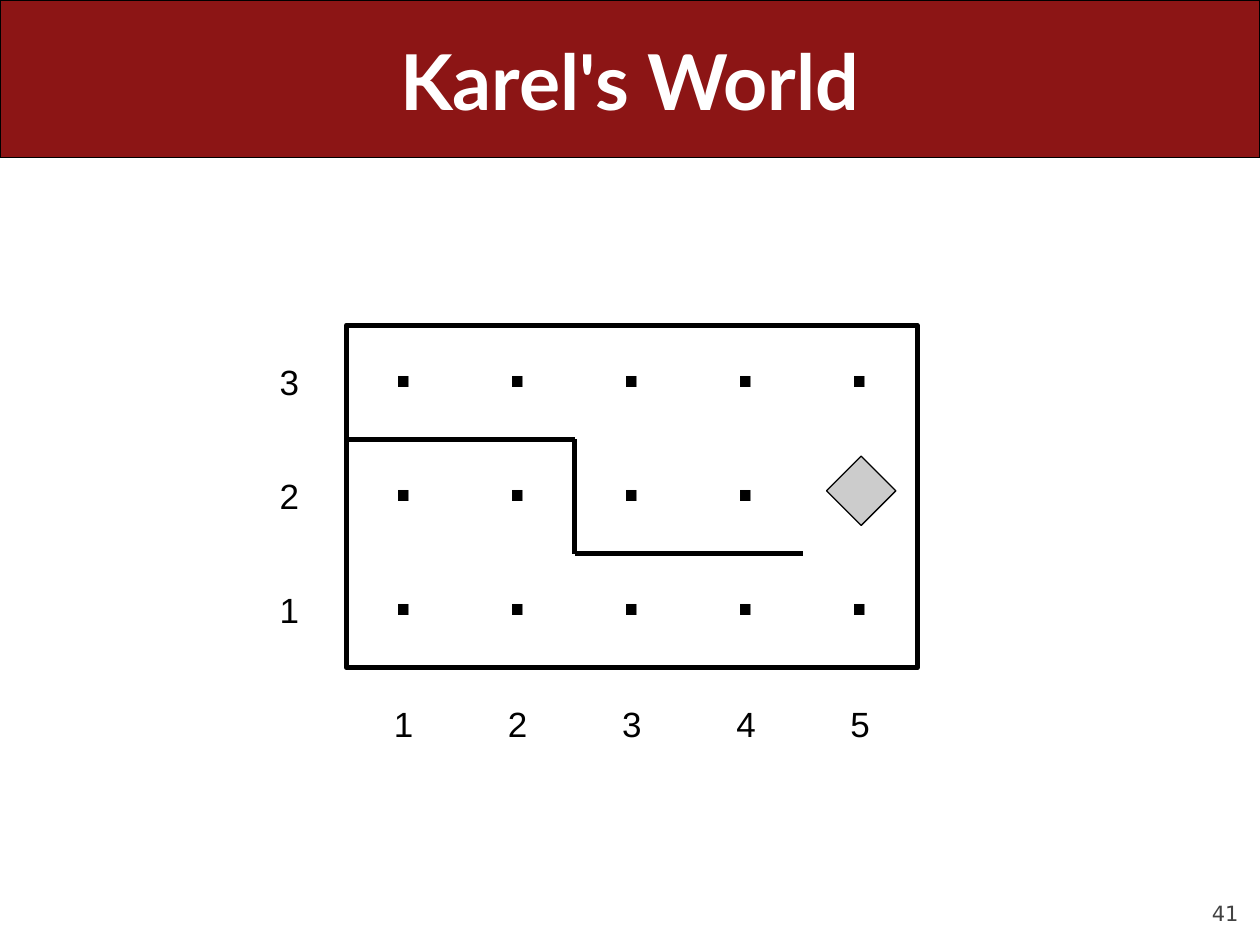
from dataclasses import dataclass
from typing import NamedTuple

import pptx
import pptx.dml.color
import pptx.enum.shapes
import pptx.enum.text
import pptx.oxml.ns
import pptx.util
from lxml import etree

Inches = pptx.util.Inches
Pt = pptx.util.Pt
RGBColor = pptx.dml.color.RGBColor
Align = pptx.enum.text.PP_ALIGN
Anchor = pptx.enum.text.MSO_ANCHOR
ShapeType = pptx.enum.shapes.MSO_SHAPE


@dataclass(frozen=True)
class Theme:
    cardinal: RGBColor = RGBColor.from_string("8C1515")
    white: RGBColor = RGBColor.from_string("FFFFFF")
    black: RGBColor = RGBColor.from_string("000000")
    beacon: RGBColor = RGBColor.from_string("CCCCCC")
    page_number: RGBColor = RGBColor.from_string("424242")
    title_size: float = 44
    label_size: float = 20
    dot_size: float = 73
    page_number_size: float = 12
    thin_line: float = 0.75
    wall_line: float = 2.89
    body_font: str = "Arial"
    title_font: str = "Lato"
    page_number_font: str = "DejaVu Sans"


class Box(NamedTuple):
    left: float
    top: float
    width: float
    height: float

    def lengths(self) -> list:
        return [Inches(value) for value in self]


class Wall(NamedTuple):
    """Ends of a wall, in cells from the top left corner of the world."""
    start: tuple[int, int]
    end: tuple[int, int]


THEME = Theme()
COLUMNS, ROWS = 5, 3
WORLD = Box(2.75, 2.58, 4.53, 2.72)
CELL_WIDTH, CELL_HEIGHT = WORLD.width / COLUMNS, WORLD.height / ROWS
WALLS = [
    Wall((2, 1), (2, 2)),
    Wall((2, 2), (4, 2)),
    Wall((0, 1), (2, 1)),
]


def corner(column: int, row: int) -> tuple[float, float]:
    """Top left corner of a cell, which may lie outside the world."""
    return WORLD.left + column * CELL_WIDTH, WORLD.top + row * CELL_HEIGHT


def cell_box(column: int, row: int) -> Box:
    return Box(*corner(column, row), CELL_WIDTH, CELL_HEIGHT)


def write_text(shape, text: str, *, font: str = THEME.body_font,
               size: float = THEME.label_size, color: RGBColor = THEME.black,
               bold: bool = False, align=Align.CENTER, anchor=Anchor.MIDDLE,
               insets=(0, 0, 0, 0), wrap: bool = True,
               line_spacing: float = 1.0, baseline: int = 0) -> None:
    """Fill a shape with one paragraph; baseline is a percentage raise."""
    frame = shape.text_frame
    frame.word_wrap = wrap
    frame.vertical_anchor = anchor
    (frame.margin_left, frame.margin_top,
     frame.margin_right, frame.margin_bottom) = map(Inches, insets)
    paragraph = frame.paragraphs[0]
    paragraph.alignment = align
    paragraph.line_spacing = line_spacing
    run = paragraph.add_run()
    run.text = text
    run.font.name = font
    run.font.size = Pt(size)
    run.font.bold = bold
    run.font.color.rgb = color
    if baseline:
        run._r.get_or_add_rPr().set("baseline", str(baseline * 1000))


def add_shape(slide, kind, box: Box, fill: RGBColor | None = None,
              line_width: float = 0):
    shape = slide.shapes.add_shape(kind, *box.lengths())
    shape.shadow.inherit = False
    if fill is None:
        shape.fill.background()
    else:
        shape.fill.solid()
        shape.fill.fore_color.rgb = fill
    if line_width:
        shape.line.color.rgb = THEME.black
        shape.line.width = Pt(line_width)
    else:
        shape.line.fill.background()
    return shape


def add_text(slide, box: Box, text: str, **text_format) -> None:
    write_text(slide.shapes.add_textbox(*box.lengths()), text, **text_format)


def add_cell(slide, column: int, row: int) -> None:
    cell = add_shape(slide, ShapeType.RECTANGLE, cell_box(column, row), THEME.white)
    write_text(cell, ".", size=THEME.dot_size, bold=True, baseline=33,
               insets=(0.09, 0.11, 0.09, 0.04), wrap=False, line_spacing=0.93)


def add_label(slide, column: int, row: int, number: int) -> None:
    add_text(slide, cell_box(column, row), str(number),
             insets=(0.09, 0.06, 0.09, 0.04), wrap=False, line_spacing=0.93)


def add_wall(slide, wall: Wall) -> None:
    ends = [Inches(value) for point in wall for value in corner(*point)]
    connector = slide.shapes.add_connector(
        pptx.enum.shapes.MSO_CONNECTOR.STRAIGHT, *ends)
    connector.line.color.rgb = THEME.black
    connector.line.width = Pt(THEME.wall_line)
    etree.SubElement(connector._element.spPr, pptx.oxml.ns.qn("a:effectLst"))


def add_world(slide) -> None:
    for column in range(COLUMNS):
        for row in reversed(range(ROWS)):
            add_cell(slide, column, row)
    for row in reversed(range(ROWS)):
        add_label(slide, -1, row, ROWS - row)
    for column in range(COLUMNS):
        add_label(slide, column, ROWS, column + 1)
    add_shape(slide, ShapeType.DIAMOND, Box(6.56, 3.62, 0.55, 0.55),
              THEME.beacon, THEME.thin_line)
    add_shape(slide, ShapeType.RECTANGLE, WORLD, line_width=THEME.wall_line)
    for wall in WALLS:
        add_wall(slide, wall)


def main() -> None:
    presentation = pptx.Presentation()
    presentation.slide_width = Inches(10)
    presentation.slide_height = Inches(7.5)
    slide = presentation.slides.add_slide(presentation.slide_layouts[6])

    add_text(slide, Box(9, 6.95, 0.83, 0.4), "41", font=THEME.page_number_font,
             size=THEME.page_number_size, color=THEME.page_number,
             align=Align.RIGHT, anchor=Anchor.BOTTOM)
    banner = add_shape(slide, ShapeType.ROUNDED_RECTANGLE, Box(0, 0, 10, 1.25),
                       THEME.cardinal, THEME.thin_line)
    banner.adjustments[0] = 0
    add_text(slide, Box(0.5, 0, 9, 1.25), "Karel's World", font=THEME.title_font,
             size=THEME.title_size, color=THEME.white, bold=True,
             insets=(0, 0.01, 0, 0))
    add_world(slide)
    presentation.save("out.pptx")


if __name__ == "__main__":
    main()
